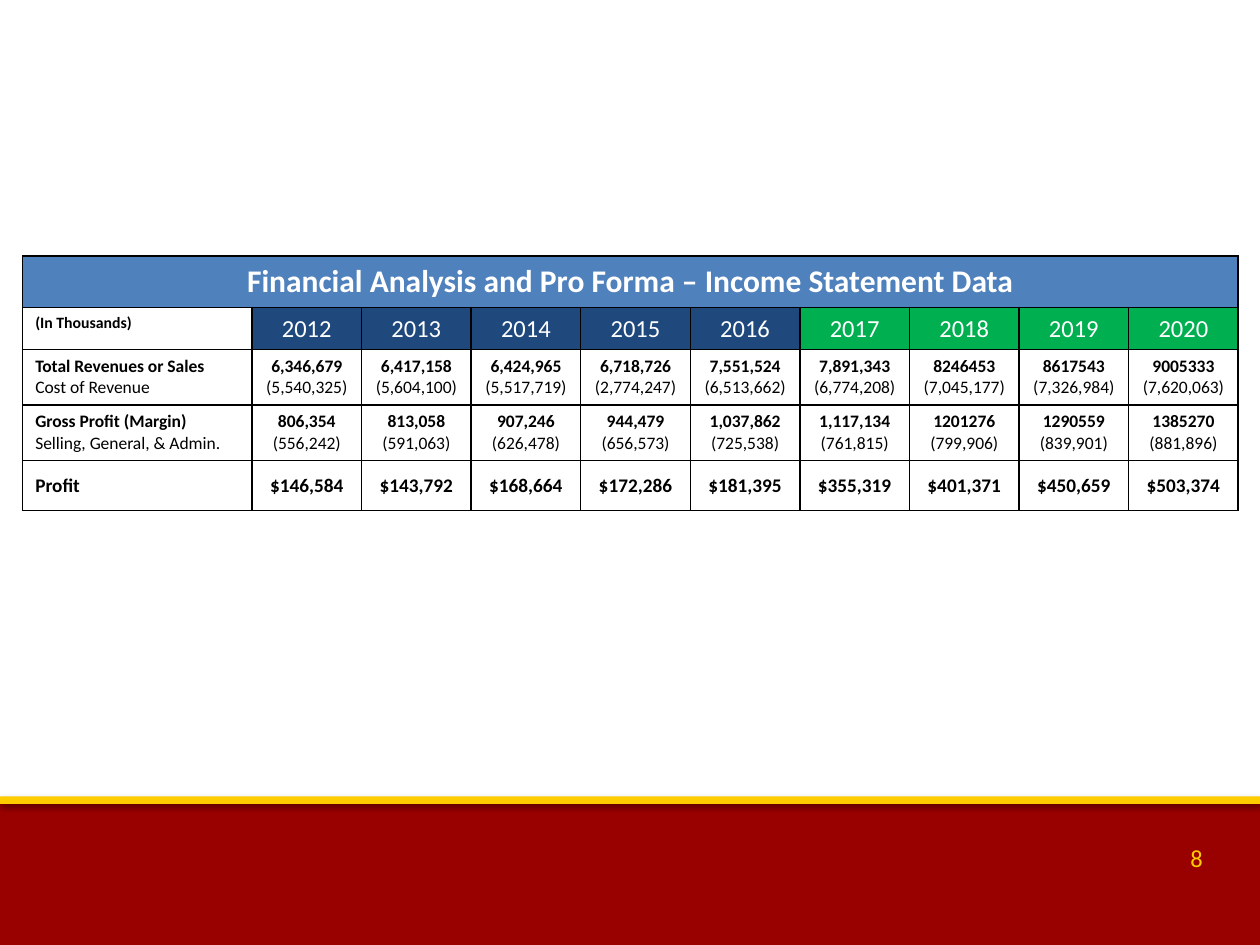
from lxml.etree import SubElement
from pptx import Presentation
from pptx.dml.color import RGBColor
from pptx.enum.shapes import MSO_SHAPE
from pptx.enum.text import MSO_ANCHOR, PP_ALIGN
from pptx.oxml.ns import qn
from pptx.util import Inches, Pt

COLORS = {
    "red": "990000", "gold": "FFCC00", "title": "4F81BD", "actual": "1F497D",
    "forecast": "00B050", "white": "FFFFFF", "black": "000000",
}
FONT = "Calibri"
FIRST_FORECAST = 2017

years = range(2012, 2021)
revenues = ["6,346,679", "6,417,158", "6,424,965", "6,718,726", "7,551,524",
            "7,891,343", "8246453", "8617543", "9005333"]
costs = ["(5,540,325)", "(5,604,100)", "(5,517,719)", "(2,774,247)", "(6,513,662)",
         "(6,774,208)", "(7,045,177)", "(7,326,984)", "(7,620,063)"]
margins = ["806,354", "813,058", "907,246", "944,479", "1,037,862",
           "1,117,134", "1201276", "1290559", "1385270"]
expenses = ["(556,242)", "(591,063)", "(626,478)", "(656,573)", "(725,538)",
            "(761,815)", "(799,906)", "(839,901)", "(881,896)"]
profits = ["$146,584", "$143,792", "$168,664", "$172,286", "$181,395",
           "$355,319", "$401,371", "$450,659", "$503,374"]


def style_paragraph(para, size, color="black", bold=False, align=PP_ALIGN.LEFT):
    para.alignment = align
    para.font.name = FONT
    para.font.size = Pt(size)
    para.font.bold = bold
    para.font.color.rgb = RGBColor.from_string(COLORS[color])


def fill_cell(cell, lines, size, color="black", bolds=(True, False), fill=None,
              align=PP_ALIGN.CENTER, anchor=MSO_ANCHOR.MIDDLE):
    """Write one paragraph per line, then set the cell's fill and black borders."""
    cell.text = "\n".join(lines)
    cell.vertical_anchor = anchor
    for para, bold in zip(cell.text_frame.paragraphs, bolds):
        style_paragraph(para, size, color, bold, align)
    properties = cell._tc.get_or_add_tcPr()
    for side in ("a:lnL", "a:lnR", "a:lnT", "a:lnB"):
        border = SubElement(properties, qn(side), w=str(Pt(1)))
        solid = SubElement(border, qn("a:solidFill"))
        SubElement(solid, qn("a:srgbClr"), val=COLORS["black"])
    if fill:
        cell.fill.solid()
        cell.fill.fore_color.rgb = RGBColor.from_string(COLORS[fill])
    else:
        cell.fill.background()


deck = Presentation()
deck.slide_width, deck.slide_height = Inches(10), Inches(7.5)
page = deck.slides.add_slide(deck.slide_layouts[6])

# Footer bands: top, height, colour, shadow opacity, shadow distance
for top, height, color, opacity, distance in [
    (6.35, 1.15, "red", 35, 1.8),
    (6.32, 0.06, "gold", 38, 1.6),
]:
    band = page.shapes.add_shape(
        MSO_SHAPE.RECTANGLE, 0, Inches(top), Inches(10), Inches(height))
    band.fill.solid()
    band.fill.fore_color.rgb = RGBColor.from_string(COLORS[color])
    band.line.fill.background()
    effects = SubElement(band._element.spPr, qn("a:effectLst"))
    shadow = SubElement(effects, qn("a:outerShdw"), blurRad=str(Pt(3.1)),
                        dist=str(Pt(distance)), dir="5400000", rotWithShape="0")
    shade = SubElement(shadow, qn("a:srgbClr"), val=COLORS["black"])
    SubElement(shade, qn("a:alpha"), val=str(opacity * 1000))

number_box = page.shapes.add_textbox(Inches(9.35), Inches(6.64), Inches(0.43), Inches(0.34))
number_box.text_frame.word_wrap = True
number_box.text_frame.text = "8"
style_paragraph(number_box.text_frame.paragraphs[0], 14, "gold")

# Income statement
row_heights = [0.41, 0.33, 0.44, 0.44, 0.4]
column_widths = [1.82] + [0.87] * len(years)
table = page.shapes.add_table(
    len(row_heights), len(column_widths), Inches(0.18), Inches(2.03),
    Inches(sum(column_widths)), Inches(sum(row_heights))).table
table.first_row = table.horz_banding = False
for row, height in zip(table.rows, row_heights):
    row.height = Inches(height)
for column, width in zip(table.columns, column_widths):
    column.width = Inches(width)

for cell in table.rows[0].cells:
    fill_cell(cell, [], 18, fill="title")
title = table.cell(0, 0)
title.merge(table.cell(0, len(years)))
title.text = "Financial Analysis and Pro Forma – Income Statement Data"
style_paragraph(title.text_frame.paragraphs[0], 18, "white", True, PP_ALIGN.CENTER)

fill_cell(table.cell(1, 0), ["(In Thousands)"], 9,
          align=PP_ALIGN.LEFT, anchor=MSO_ANCHOR.TOP)
for column, year in enumerate(years, start=1):
    fill_cell(table.cell(1, column), [str(year)], 14, "white", bolds=[False],
              fill="forecast" if year >= FIRST_FORECAST else "actual")

statement = [
    (["Total Revenues or Sales", "Cost of Revenue"], zip(revenues, costs), 10),
    (["Gross Profit (Margin)", "Selling, General, & Admin."], zip(margins, expenses), 10),
    (["Profit"], zip(profits), 11),
]
for row, (labels, values, size) in enumerate(statement, start=2):
    fill_cell(table.cell(row, 0), labels, size, align=PP_ALIGN.LEFT)
    for column, lines in enumerate(values, start=1):
        fill_cell(table.cell(row, column), lines, size)

deck.save("out.pptx")
